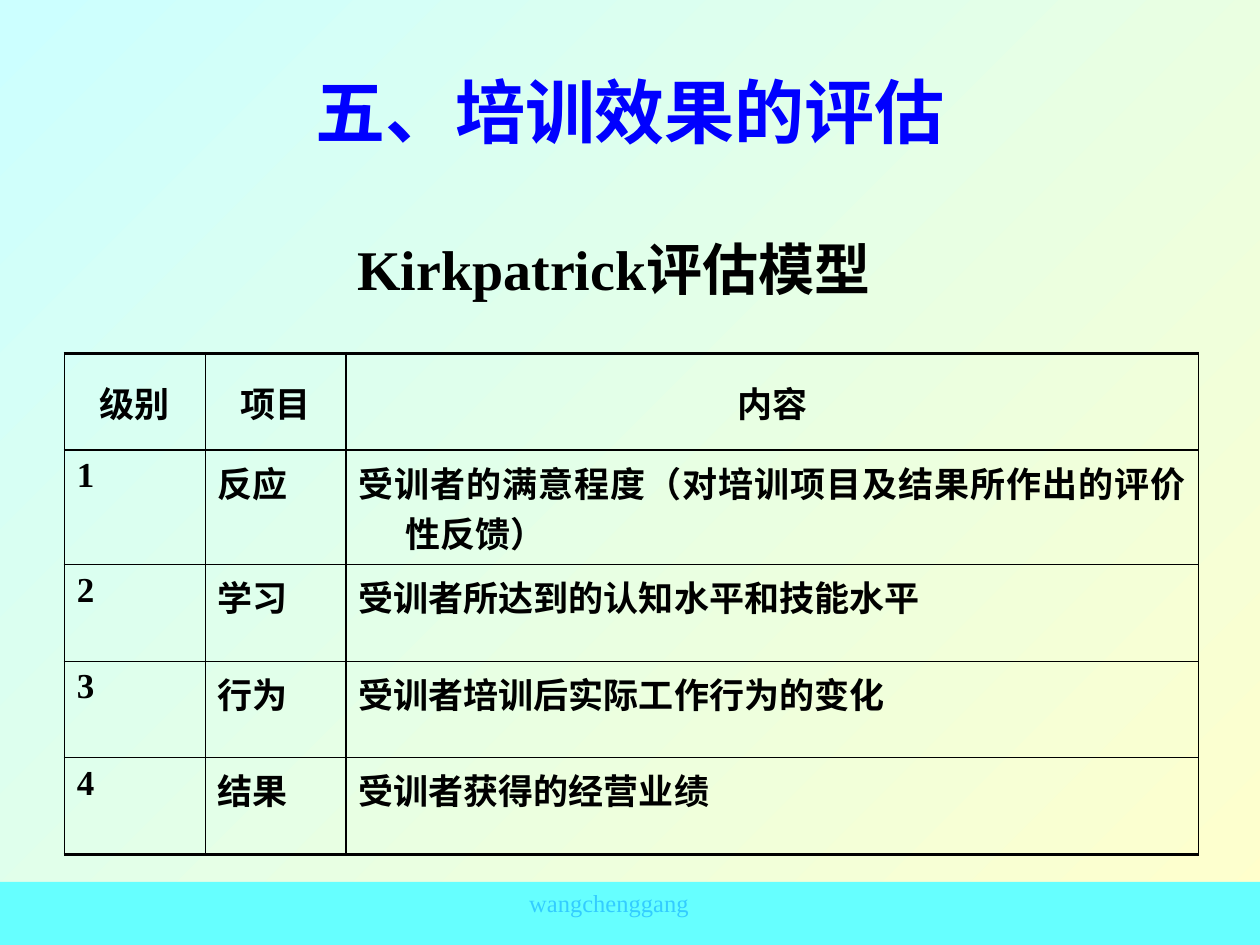
"""Build the training evaluation slide with its four-level model table."""
from typing import NamedTuple

from lxml import etree
from pptx import Presentation
from pptx.dml.color import RGBColor
from pptx.enum import shapes, text
from pptx.oxml import ns
from pptx.util import Pt

FONT = "Times New Roman"
BLACK = RGBColor(0, 0, 0)
BLUE = RGBColor(0, 0, 255)
SKY = RGBColor(0x33, 0xCC, 0xFF)
AQUA = RGBColor(0x66, 0xFF, 0xFF)
PALE = RGBColor(0xCC, 0xFF, 0xFF)
CREAM = RGBColor(0xFF, 0xFF, 0xCC)
ALIGN = text.PP_ALIGN
ANCHOR = text.MSO_ANCHOR
WIDTHS = (80.5, 80.5, 487)
ROW_H = 55.2
TALL_H = 65.5
INDENT = 27
RULES = (2, 1, 0.75, 0.75, 0.75, 2)


class Box(NamedTuple):
    left: float
    top: float
    width: float
    height: float

    def pts(self) -> list[Pt]:
        return [Pt(v) for v in self]


class Style(NamedTuple):
    size: float
    color: RGBColor
    bold: bool = True
    align: ALIGN = ALIGN.CENTER


class Level(NamedTuple):
    rank: str
    item: str
    detail: str
    height: float = ROW_H

    def words(self) -> tuple[str, str, str]:
        return self.rank, self.item, self.detail


HEAD = Level("级别", "项目", "内容")
LEVELS = (
    Level("1", "反应", "受训者的满意程度（对培训项目及结果所作出的评价性反馈）", TALL_H),
    Level("2", "学习", "受训者所达到的认知水平和技能水平"),
    Level("3", "行为", "受训者培训后实际工作行为的变化"),
    Level("4", "结果", "受训者获得的经营业绩"),
)


def write(frame, words: str, style: Style) -> None:
    frame.text = words
    para = frame.paragraphs[0]
    para.alignment = style.align
    for run in para.runs:
        run.font.name = FONT
        run.font.size = Pt(style.size)
        run.font.bold = style.bold
        run.font.color.rgb = style.color


def add_text(slide, box: Box, words: str, style: Style, anchor: ANCHOR) -> None:
    frame = slide.shapes.add_textbox(*box.pts()).text_frame
    frame.word_wrap = True
    frame.vertical_anchor = anchor
    write(frame, words, style)


def add_title(slide, box: Box, words: str, style: Style) -> None:
    title = slide.shapes.title
    title.left, title.top, title.width, title.height = box.pts()
    title.text_frame.auto_size = text.MSO_AUTO_SIZE.NONE
    title.text_frame.vertical_anchor = ANCHOR.MIDDLE
    write(title.text_frame, words, style)


def add_band(slide, box: Box, color: RGBColor) -> None:
    band = slide.shapes.add_shape(shapes.MSO_SHAPE.RECTANGLE, *box.pts())
    band.shadow.inherit = False
    band.fill.solid()
    band.fill.fore_color.rgb = color
    band.line.fill.background()


def add_rule(cell, side: str, width: float) -> None:
    props = cell._tc.get_or_add_tcPr()
    line = etree.SubElement(props, ns.qn(f"a:ln{side}"), w=str(Pt(width)))
    fill = etree.SubElement(line, ns.qn("a:solidFill"))
    etree.SubElement(fill, ns.qn("a:srgbClr"), val=str(BLACK))


def fill_cell(cell, words: str, row: int) -> None:
    head = row == 0
    cell.vertical_anchor = ANCHOR.MIDDLE if head else ANCHOR.TOP
    sides = {"L": 0.75, "R": 0.75, "T": RULES[row], "B": RULES[row + 1]}
    for side, width in sides.items():
        add_rule(cell, side, width)
    cell.fill.background()
    align = ALIGN.CENTER if head else ALIGN.JUSTIFY
    write(cell.text_frame, words, Style(20, BLACK, align=align))
    props = cell.text_frame.paragraphs[0]._p.get_or_add_pPr()
    props.set("marL", str(Pt(INDENT)))
    props.set("indent", str(Pt(-INDENT)))


def add_levels(slide, left: float, top: float, rows: tuple[Level, ...]) -> None:
    box = Box(left, top, sum(WIDTHS), sum(level.height for level in rows))
    table = slide.shapes.add_table(len(rows), len(WIDTHS), *box.pts()).table
    table.first_row = table.horz_banding = False
    for col, width in zip(table.columns, WIDTHS):
        col.width = Pt(width)
    for r, level in enumerate(rows):
        table.rows[r].height = Pt(level.height)
        for c, words in enumerate(level.words()):
            fill_cell(table.cell(r, c), words, r)


def paint_back(slide) -> None:
    fill = slide.background.fill
    fill.gradient()
    fill.gradient_angle = 315
    for stop, color in zip(fill.gradient_stops, (PALE, CREAM)):
        stop.color.rgb = color


def main() -> None:
    deck = Presentation()
    deck.slide_width, deck.slide_height = Pt(720), Pt(540)
    slide = deck.slides.add_slide(deck.slide_layouts[5])
    paint_back(slide)
    add_band(slide, Box(0, 504, 720, 36), AQUA)
    add_text(slide, Box(234, 504, 228, 24), "wangchenggang",
             Style(14, SKY, bold=False), ANCHOR.TOP)
    add_title(slide, Box(54, 18, 612, 90), "五、培训效果的评估", Style(40, BLUE))
    add_levels(slide, 36.75, 202, (HEAD, *LEVELS))
    add_text(slide, Box(27, 99, 648, 108), "Kirkpatrick评估模型",
             Style(32, BLACK), ANCHOR.MIDDLE)
    deck.save("out.pptx")


if __name__ == "__main__":
    main()
